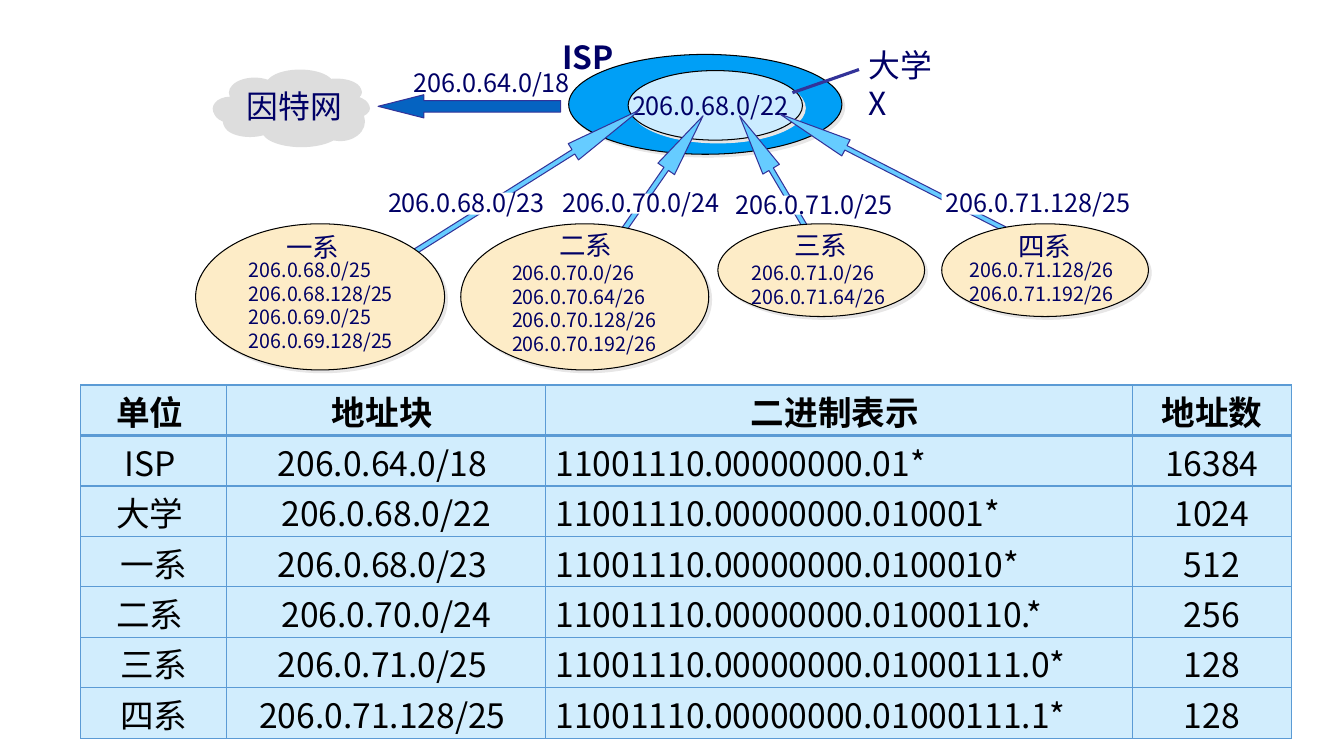
"""Build the slide on address blocks held by an ISP, a university and four departments."""
from dataclasses import dataclass

from lxml import etree
from pptx import Presentation
from pptx import util as u
from pptx.dml import color
from pptx.enum import shapes, text
from pptx.oxml import ns

Box = tuple[int, int, int, int]

PX = 9144
FONT = "Noto Sans CJK SC"
HUES = {
    "navy": "000066", "black": "000000", "white": "FFFFFF", "cloud": "DDDDDD",
    "ring": "009FF6", "core": "CCECFF", "dept": "FDECC7", "arrow": "66CCFF",
    "link": "0563C1", "edge": "333399", "shade": "E7E6E6", "grid": "5B9BD5",
}
KIND = shapes.MSO_SHAPE


@dataclass
class Label:
    words: str
    box: Box
    size: float
    bold: bool = False
    wrap: bool = False


@dataclass
class Arrow:
    box: Box
    turn: float
    shaft: float
    head: float
    fill: str = "arrow"


@dataclass
class Dept:
    oval: Box
    arrow: Arrow
    plate: Box
    labels: list[Label]


PUFFS = [
    (264, 69, 67, 30), (227, 77, 51, 30), (211, 96, 34, 24),
    (221, 108, 52, 26), (259, 112, 78, 32), (309, 78, 49, 23),
    (317, 94, 49, 23), (312, 99, 49, 39), (239, 87, 101, 39),
]
LABELS = [
    Label("因特网", (235, 80, 115, 48), 22.7),
    Label("206.0.68.0/22", (617, 84, 182, 40), 18),
    Label("206.0.64.0/18", (400, 61, 182, 40), 18),
    Label("ISP", (548, 31, 72, 48), 22.7, bold=True),
    Label("大学 X", (852, 39, 100, 86), 22.7, wrap=True),
]
DEPTS = [
    Dept((194, 222, 247, 145), Arrow((380, 173, 276, 19), 147.8, 0.271, 4.111),
         (383, 191, 139, 22), [
        Label("一系", (274, 223, 73, 42), 18.9),
        Label("206.0.68.0/23", (375, 180, 182, 40), 18),
        Label("206.0.68.0/25\n206.0.68.128/25\n206.0.69.0/25\n206.0.69.128/25",
              (237, 250, 169, 104), 14)]),
    Dept((457, 222, 246, 145), Arrow((523, 196, 222, 20), 124.8, 0.271, 3.208),
         (556, 192, 140, 20), [
        Label("二系", (545, 221, 73, 42), 18.9),
        Label("206.0.70.0/24", (548, 180, 182, 40), 18),
        Label("206.0.70.0/26\n206.0.70.64/26\n206.0.70.128/26\n206.0.70.192/26",
              (498, 253, 169, 104), 14)]),
    Dept((712, 222, 205, 92), Arrow((679, 201, 222, 19), 59.4, 0.271, 3.236),
         (728, 194, 139, 19), [
        Label("三系", (778, 221, 73, 42), 18.9),
        Label("206.0.71.0/25", (720, 182, 182, 40), 18),
        Label("206.0.71.0/26\n206.0.71.64/26", (736, 253, 157, 57), 14)]),
    Dept((934, 222, 205, 92), Arrow((759, 163, 259, 18), 27.1, 0.271, 4.109),
         (934, 191, 163, 22), [
        Label("四系", (1000, 222, 73, 42), 18.9),
        Label("206.0.71.128/25", (928, 180, 211, 40), 18),
        Label("206.0.71.128/26\n206.0.71.192/26", (952, 250, 169, 57), 14)]),
]
COLS = [145, 316, 582, 158]
ROWS = [
    ("单位 ", "地址块 ", "二进制表示 ", "地址数"),
    ("ISP ", "206.0.64.0/18 ", "11001110.00000000.01*", "16384"),
    ("大学 ", "206.0.68.0/22", "11001110.00000000.010001*", "1024"),
    ("一系", "206.0.68.0/23 ", "11001110.00000000.0100010*", "512"),
    ("二系 ", "206.0.70.0/24", "11001110.00000000.01000110.*", "256"),
    ("三系", "206.0.71.0/25 ", "11001110.00000000.01000111.0*", "128"),
    ("四系", "206.0.71.128/25 ", "11001110.00000000.01000111.1*", "128"),
]


def scale(box: Box) -> list[u.Emu]:
    return [u.Emu(n * PX) for n in box]


def rgb(hue: str) -> color.RGBColor:
    return color.RGBColor.from_string(HUES[hue])


def sub(node, tag: str, **attrs: str):
    return etree.SubElement(node, ns.qn(tag), attrs)


def write(para, words: str, size: float, hue: str, bold: bool = False) -> None:
    para.line_spacing = u.Pt(round(size * 1.2, 1))
    run = para.add_run()
    run.text = words
    run.font.size = u.Pt(size)
    run.font.bold = bold
    run.font.color.rgb = rgb(hue)
    run.font.name = FONT
    sub(run.font._element, "a:ea", typeface=FONT)


def shape(slide, kind, box: Box, fill: str, line: str = "", shade: bool = False):
    item = slide.shapes.add_shape(kind, *scale(box))
    item.shadow.inherit = False
    item.fill.solid()
    item.fill.fore_color.rgb = rgb(fill)
    if line:
        item.line.color.rgb = rgb(line)
        item.line.width = u.Pt(0.75)
    else:
        item.line.fill.background()
    if shade:
        glow = sub(item._element.spPr.find(ns.qn("a:effectLst")), "a:outerShdw",
                   dist=str(u.Pt(2.8)), dir="2700000", algn="ctr", rotWithShape="0")
        sub(glow, "a:srgbClr", val=HUES["shade"])
    return item


def point(slide, arrow: Arrow) -> None:
    item = shape(slide, KIND.LEFT_ARROW, arrow.box, arrow.fill, "edge")
    item.adjustments[0] = arrow.shaft
    item.adjustments[1] = arrow.head
    item.rotation = arrow.turn


def label(slide, spec: Label) -> None:
    frame = slide.shapes.add_textbox(*scale(spec.box)).text_frame
    frame.word_wrap = spec.wrap
    frame.margin_top = u.Emu(6 * PX)
    for i, words in enumerate(spec.words.split("\n")):
        para = frame.add_paragraph() if i else frame.paragraphs[0]
        write(para, words, spec.size, "navy", spec.bold)


def border(cell, head: bool) -> None:
    props = cell._tc.get_or_add_tcPr()
    for i, side in enumerate("LRTB"):
        width = 2 if head and side == "B" else 1
        line = etree.Element(ns.qn("a:ln" + side), w=str(u.Pt(width)))
        sub(sub(line, "a:solidFill"), "a:srgbClr", val=HUES["grid"])
        props.insert(i, line)


def table(slide) -> None:
    box = (80, 382, sum(COLS), 50 * len(ROWS))
    grid = slide.shapes.add_table(len(ROWS), len(COLS), *scale(box)).table
    grid.first_row = grid.horz_banding = False
    for col, width in zip(grid.columns, COLS):
        col.width = u.Emu(width * PX)
    for i, row in enumerate(ROWS):
        grid.rows[i].height = u.Emu(50 * PX)
        for j, words in enumerate(row):
            cell = grid.cell(i, j)
            cell.margin_top, cell.margin_bottom = u.Emu(10 * PX), 0
            cell.fill.solid()
            cell.fill.fore_color.rgb = rgb("ring")
            tint = cell._tc.tcPr.find(".//" + ns.qn("a:srgbClr"))
            sub(tint, "a:alpha", val="18000")
            border(cell, i == 0)
            para = cell.text_frame.paragraphs[0]
            left = i > 0 and j == 2
            para.alignment = text.PP_ALIGN.LEFT if left else text.PP_ALIGN.CENTER
            write(para, words, 24, "black", i == 0)


def main() -> None:
    deck = Presentation()
    deck.slide_width, deck.slide_height = u.Emu(1333 * PX), u.Emu(750 * PX)
    slide = deck.slides.add_slide(deck.slide_layouts[6])
    for step in (1, 0):
        for x, y, w, h in PUFFS:
            shape(slide, KIND.OVAL, (x + step, y + 2 * step, w, h), "cloud")
    shape(slide, KIND.OVAL, (564, 54, 271, 99), "ring", "black", True)
    shape(slide, KIND.OVAL, (623, 70, 173, 69), "core", "black", True)
    point(slide, Arrow((375, 94, 181, 23), 0, 0.5, 1.972, "link"))
    ends = scale((786, 92, 852, 69))
    line = slide.shapes.add_connector(shapes.MSO_CONNECTOR.STRAIGHT, *ends)
    line.line.color.rgb = rgb("edge")
    line.line.width = u.Pt(2.25)
    sub(line._element.spPr, "a:effectLst")
    for spec in LABELS:
        label(slide, spec)
    for dept in DEPTS:
        point(slide, dept.arrow)
        shape(slide, KIND.OVAL, dept.oval, "dept", "black", True)
        shape(slide, KIND.RECTANGLE, dept.plate, "white")
        for spec in dept.labels:
            label(slide, spec)
    table(slide)
    deck.save("out.pptx")


if __name__ == "__main__":
    main()
